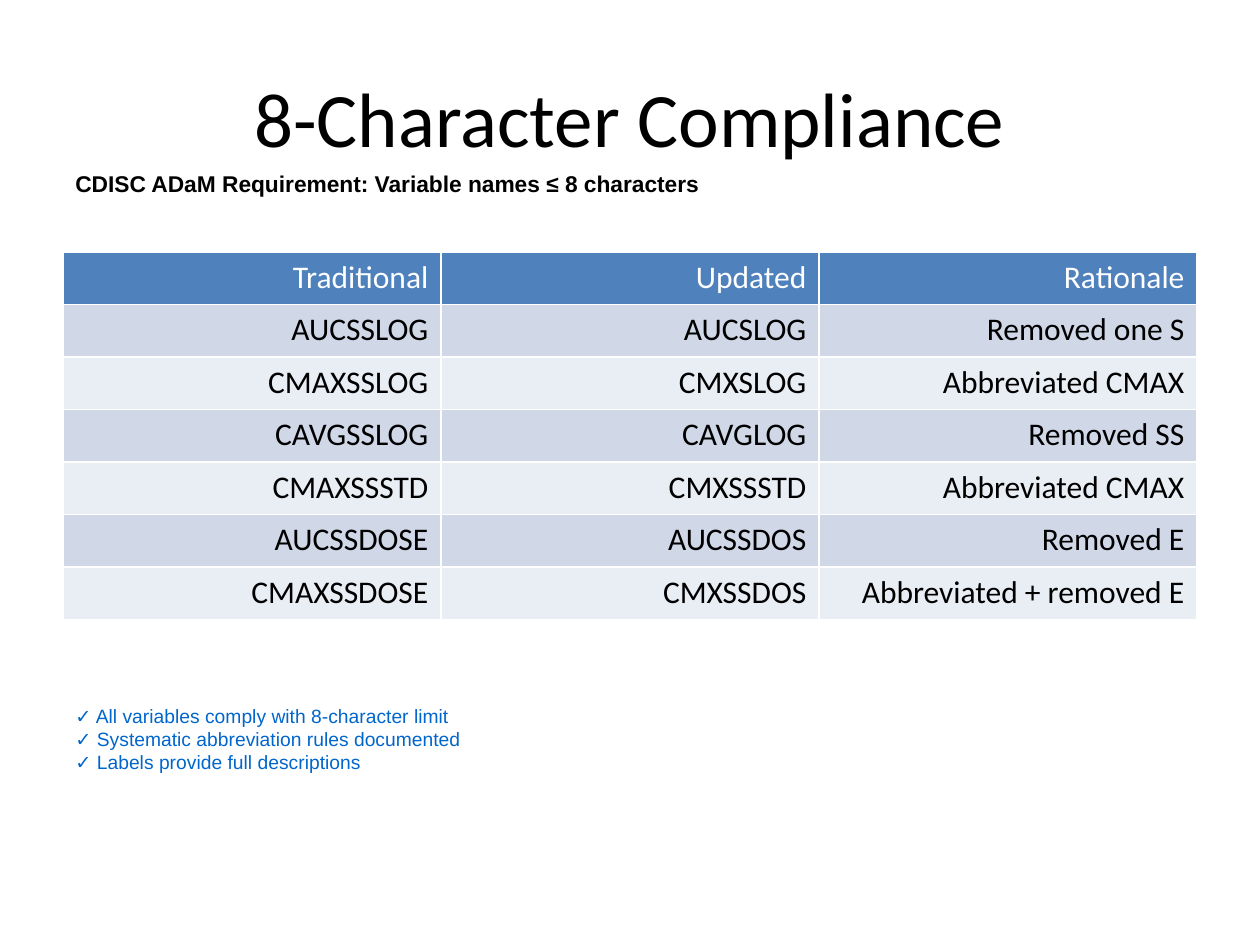
from dataclasses import dataclass

from pptx import Presentation
from pptx.dml.color import RGBColor
from pptx.enum.text import MSO_ANCHOR as Anchor, PP_ALIGN as Align
from pptx.util import Inches, Pt

BLACK, WHITE = "000000", "FFFFFF"
HEADER_FILL = "4F81BD"
BAND_FILLS = ("D0D8E8", "E9EDF4")

RENAMED_VARIABLES = [
    ("Traditional", "Updated", "Rationale"),
    ("AUCSSLOG", "AUCSLOG", "Removed one S"),
    ("CMAXSSLOG", "CMXSLOG", "Abbreviated CMAX"),
    ("CAVGSSLOG", "CAVGLOG", "Removed SS"),
    ("CMAXSSSTD", "CMXSSSTD", "Abbreviated CMAX"),
    ("AUCSSDOSE", "AUCSSDOS", "Removed E"),
    ("CMAXSSDOSE", "CMXSSDOS", "Abbreviated + removed E"),
]


@dataclass
class TextStyle:
    size: float
    name: str = "Calibri"
    color: str = BLACK
    bold: bool = False
    align: Align = Align.LEFT


@dataclass
class TextBlock:
    lines: list[str]
    top: float
    height: float
    style: TextStyle
    anchor: Anchor = Anchor.TOP
    margin_top: float = 0.05


def rgb(color: str) -> RGBColor:
    return RGBColor.from_string(color)


def write_lines(frame, lines: list[str], style: TextStyle) -> None:
    font_values = {"size": Pt(style.size), "name": style.name, "bold": style.bold}
    for index, line in enumerate(lines):
        paragraph = frame.paragraphs[0] if index == 0 else frame.add_paragraph()
        paragraph.alignment = style.align
        run = paragraph.add_run()
        run.text = line
        for key, value in font_values.items():
            setattr(run.font, key, value)
        run.font.color.rgb = rgb(style.color)


def draw_text(slide, block: TextBlock) -> None:
    box = slide.shapes.add_textbox(
        Inches(0.5), Inches(block.top), Inches(9), Inches(block.height))
    frame_values = {
        "word_wrap": True,
        "vertical_anchor": block.anchor,
        "margin_top": Inches(block.margin_top),
    }
    for key, value in frame_values.items():
        setattr(box.text_frame, key, value)
    write_lines(box.text_frame, block.lines, block.style)


def draw_table(slide, rows: list[tuple[str, ...]]) -> None:
    table = slide.shapes.add_table(
        len(rows), len(rows[0]),
        Inches(0.5), Inches(2), Inches(9), Inches(2.92)).table
    for row_index, row in enumerate(rows):
        is_header = row_index == 0
        fill = HEADER_FILL if is_header else BAND_FILLS[(row_index - 1) % 2]
        style = TextStyle(18, color=WHITE if is_header else BLACK, align=Align.RIGHT)
        for column_index, entry in enumerate(row):
            cell = table.cell(row_index, column_index)
            cell.fill.solid()
            cell.fill.fore_color.rgb = rgb(fill)
            write_lines(cell.text_frame, [entry], style)


def main() -> None:
    deck = Presentation()
    deck.slide_width, deck.slide_height = Inches(10), Inches(7.5)
    slide = deck.slides.add_slide(deck.slide_layouts[6])

    # Title and requirement
    draw_text(slide, TextBlock(
        ["8-Character Compliance"], 0.3, 1.25,
        TextStyle(44, align=Align.CENTER), Anchor.MIDDLE))
    draw_text(slide, TextBlock(
        ["CDISC ADaM Requirement: Variable names ≤ 8 characters"], 1.3, 0.5,
        TextStyle(13, "Arial", bold=True)))

    # Old and new variable names
    draw_table(slide, RENAMED_VARIABLES)

    # Compliance checks
    draw_text(slide, TextBlock(
        ["✓ All variables comply with 8-character limit",
         "✓ Systematic abbreviation rules documented",
         "✓ Labels provide full descriptions"], 5, 1,
        TextStyle(11, "Arial", "0066CC"), margin_top=0.59))

    deck.save("out.pptx")


if __name__ == "__main__":
    main()
